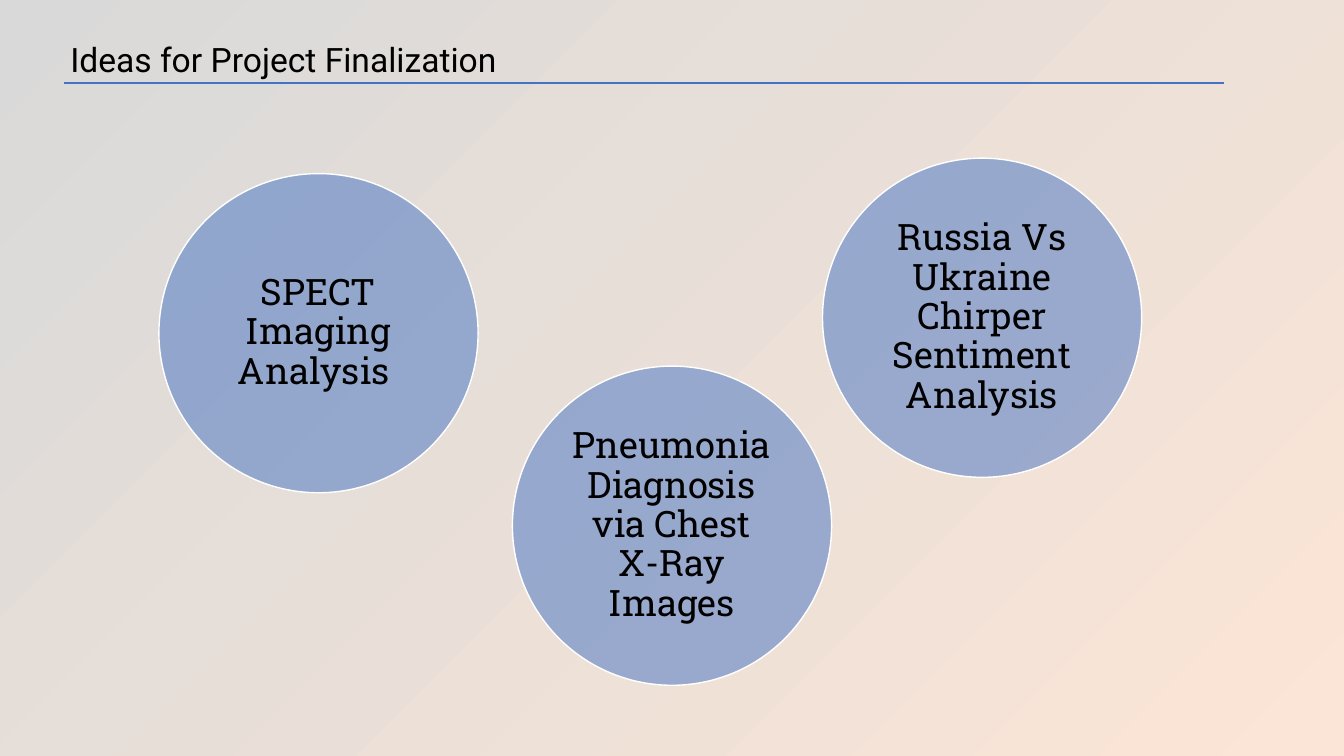
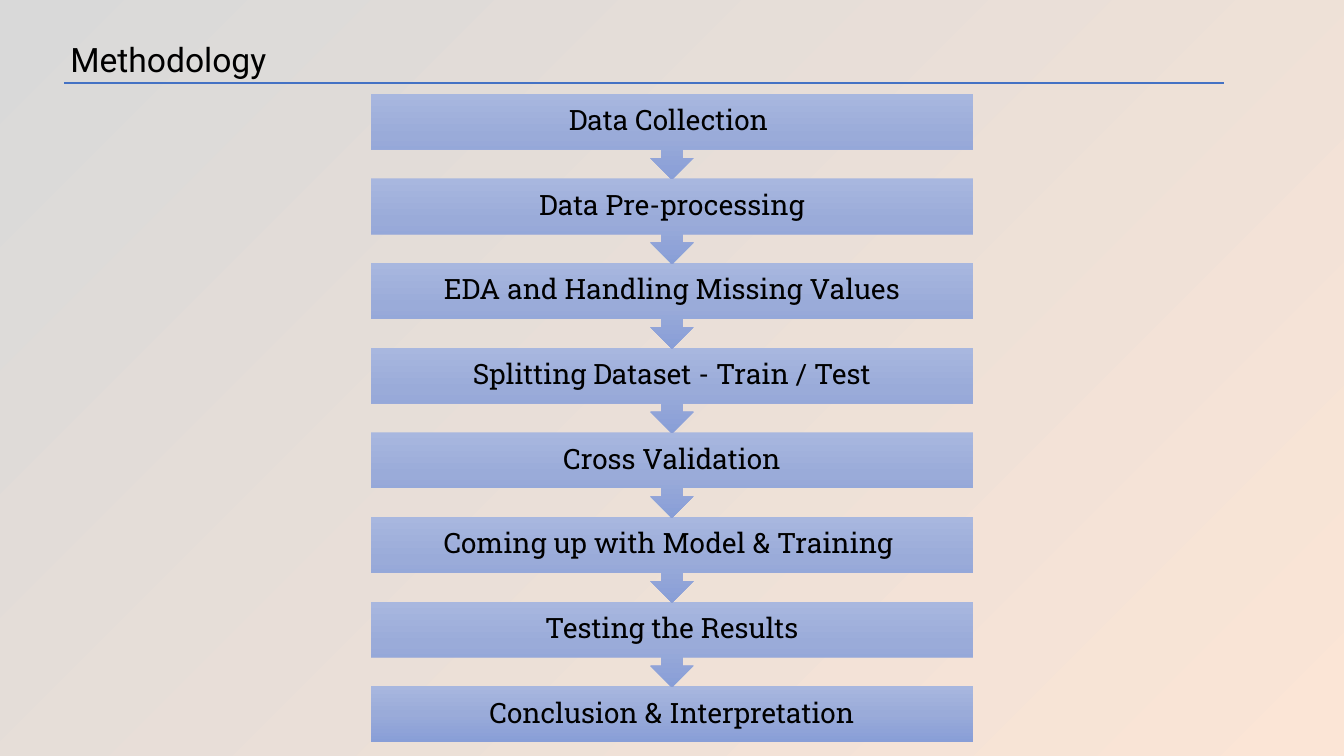
from dataclasses import dataclass

import pptx
import pptx.dml.color
import pptx.enum.shapes
import pptx.enum.text
import pptx.oxml.ns
import pptx.oxml.xmlchemy
import pptx.util
from lxml import etree

Pt = pptx.util.Pt
qn = pptx.oxml.ns.qn
Shape = pptx.enum.shapes.MSO_SHAPE
Align = pptx.enum.text.PP_ALIGN
Anchor = pptx.enum.text.MSO_ANCHOR


@dataclass(frozen=True)
class Theme:
    ink: str = "000000"
    accent: str = "4472C4"
    outline: str = "FFFFFF"
    backdrop: tuple = ((0, "D9D9D9"), (100, "FBE5D6"))
    step_fill: tuple = ((0, "A8B7DF"), (50, "9AABD9"), (100, "889ED7"))
    title_font: str = "Roboto"
    body_font: str = "Roboto Slab"
    title_size: float = 24
    idea_size: float = 26
    step_size: float = 20


def rgb(value):
    return pptx.dml.color.RGBColor.from_string(value)


def fill_gradient(fill, owner, stops, clockwise):
    """Fill with (percent, colour) stops along a clockwise angle."""
    fill.gradient()
    fill.gradient_angle = 360 - clockwise
    stop_list = owner.find(".//" + qn("a:gsLst"))
    for old in list(stop_list):
        stop_list.remove(old)
    for percent, colour in stops:
        stop = etree.SubElement(stop_list, qn("a:gs"), pos=str(percent * 1000))
        etree.SubElement(stop, qn("a:srgbClr"), val=colour)


class Deck:
    def __init__(self, theme):
        self.theme = theme
        self.prs = pptx.Presentation()
        self.prs.slide_width, self.prs.slide_height = Pt(960), Pt(540)
        master = self.prs.slide_master
        fill_gradient(master.background.fill, master.element, theme.backdrop, 45)
        self.slide = None

    def new_slide(self, title, shadow=False):
        self.slide = self.prs.slides.add_slide(self.prs.slide_layouts[5])
        self.rule(46, 59, 874)
        self.title(title, shadow)

    def rule(self, left, top, right):
        rule = self.slide.shapes.add_connector(
            pptx.enum.shapes.MSO_CONNECTOR.STRAIGHT,
            Pt(left), Pt(top), Pt(right), Pt(top))
        rule.line.color.rgb = rgb(self.theme.accent)
        rule.line.width = Pt(1.5)
        etree.SubElement(rule.element.spPr, qn("a:effectLst"))

    def title(self, text, shadow):
        heading = self.slide.shapes.title
        heading.left, heading.top = Pt(43), Pt(24.5)
        heading.width, heading.height = Pt(433), Pt(36)
        frame = heading.text_frame
        frame.auto_size = pptx.enum.text.MSO_AUTO_SIZE.NONE
        frame.vertical_anchor = Anchor.TOP
        frame.paragraphs[0].alignment = Align.LEFT
        run = self.run(frame.paragraphs[0], text,
                       self.theme.title_font, self.theme.title_size)
        if shadow:
            effects = etree.Element(qn("a:effectLst"))
            outer = etree.SubElement(effects, qn("a:outerShdw"), blurRad="38100",
                                     dist="19050", dir="2700000", algn="tl")
            colour = etree.SubElement(outer, qn("a:srgbClr"), val=self.theme.ink)
            etree.SubElement(colour, qn("a:alpha"), val="40000")
            run.font.fill  # the effect list follows the fill
            run.font._element.find(qn("a:solidFill")).addnext(effects)

    def run(self, paragraph, text, font, size):
        run = paragraph.add_run()
        run.text = text
        run.font.name = font
        run.font.size = Pt(size)
        run.font.color.rgb = rgb(self.theme.ink)
        return run

    def labelled(self, kind, left, top, width, height, text, size, inset):
        """Add a preset shape with its centred label."""
        shape = self.slide.shapes.add_shape(
            kind, Pt(left), Pt(top), Pt(width), Pt(height))
        shape.shadow.inherit = False
        frame = shape.text_frame
        frame.word_wrap = True
        frame.vertical_anchor = Anchor.MIDDLE
        frame.margin_left = frame.margin_right = Pt(inset)
        frame.margin_top = frame.margin_bottom = Pt(inset)
        label = frame.paragraphs[0]
        label.alignment = Align.CENTER
        label.line_spacing = 0.9
        self.run(label, text, self.theme.body_font, size)
        return shape

    def idea(self, left, top, text):
        circle = self.labelled(Shape.OVAL, left, top, 228, 228, text,
                               self.theme.idea_size, 8)
        circle.fill.solid()
        circle.fill.fore_color.rgb = rgb(self.theme.accent)
        colour = circle.element.spPr.find(qn("a:solidFill")).find(qn("a:srgbClr"))
        etree.SubElement(colour, qn("a:alpha"), val="50000")
        circle.line.color.rgb = rgb(self.theme.outline)
        circle.line.width = Pt(1)

    def step(self, top, text, last):
        kind, height = ((Shape.RECTANGLE, 39.8) if last
                        else (Shape.DOWN_ARROW_CALLOUT, 61.2))
        box = self.labelled(kind, 265, top, 430, height, text,
                            self.theme.step_size, 11.5)
        fill_gradient(box.fill, box.element, self.theme.step_fill, 90)
        box.line.fill.background()

    def flow(self, top, pitch, steps):
        """Stack the steps from the last up, so each arrow lies over the next box."""
        final = len(steps) - 1
        for index in range(final, -1, -1):
            self.step(top + index * pitch, steps[index], index == final)


def main():
    deck = Deck(Theme())

    deck.new_slide("Ideas for Project Finalization")
    for left, top, idea in (
        (113.5, 124, "SPECT Imaging Analysis "),
        (366, 261.5, "Pneumonia Diagnosis via Chest X-Ray Images"),
        (587.5, 113, "Russia Vs Ukraine Chirper Sentiment Analysis"),
    ):
        deck.idea(left, top, idea)

    deck.new_slide("Methodology", shadow=True)
    deck.flow(67, 60.45, (
        "Data Collection ",
        "Data Pre-processing",
        "EDA and Handling Missing Values",
        "Splitting Dataset - Train / Test",
        "Cross Validation",
        "Coming up with Model & Training ",
        "Testing the Results",
        "Conclusion & Interpretation",
    ))

    deck.prs.save("out.pptx")


if __name__ == "__main__":
    main()
